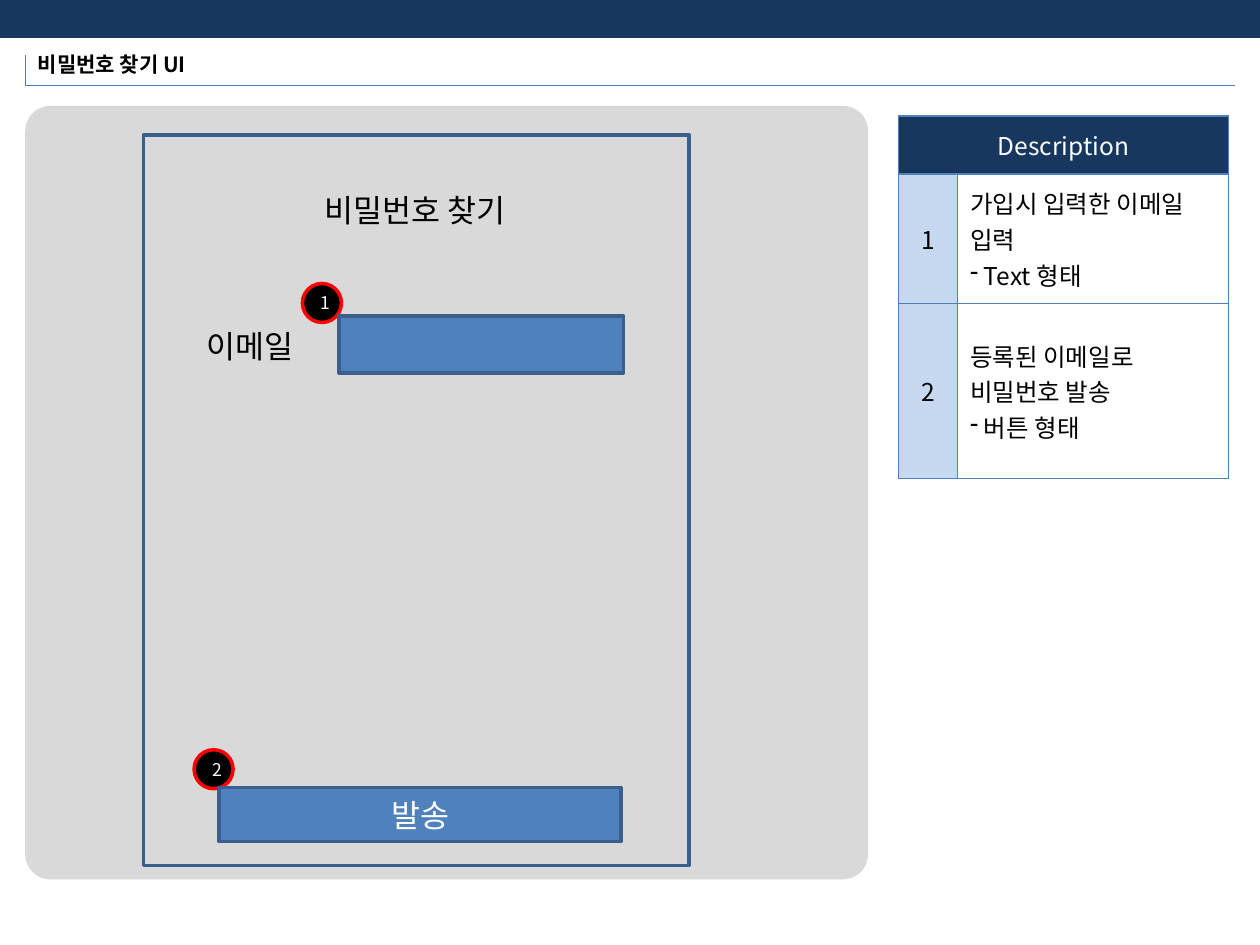
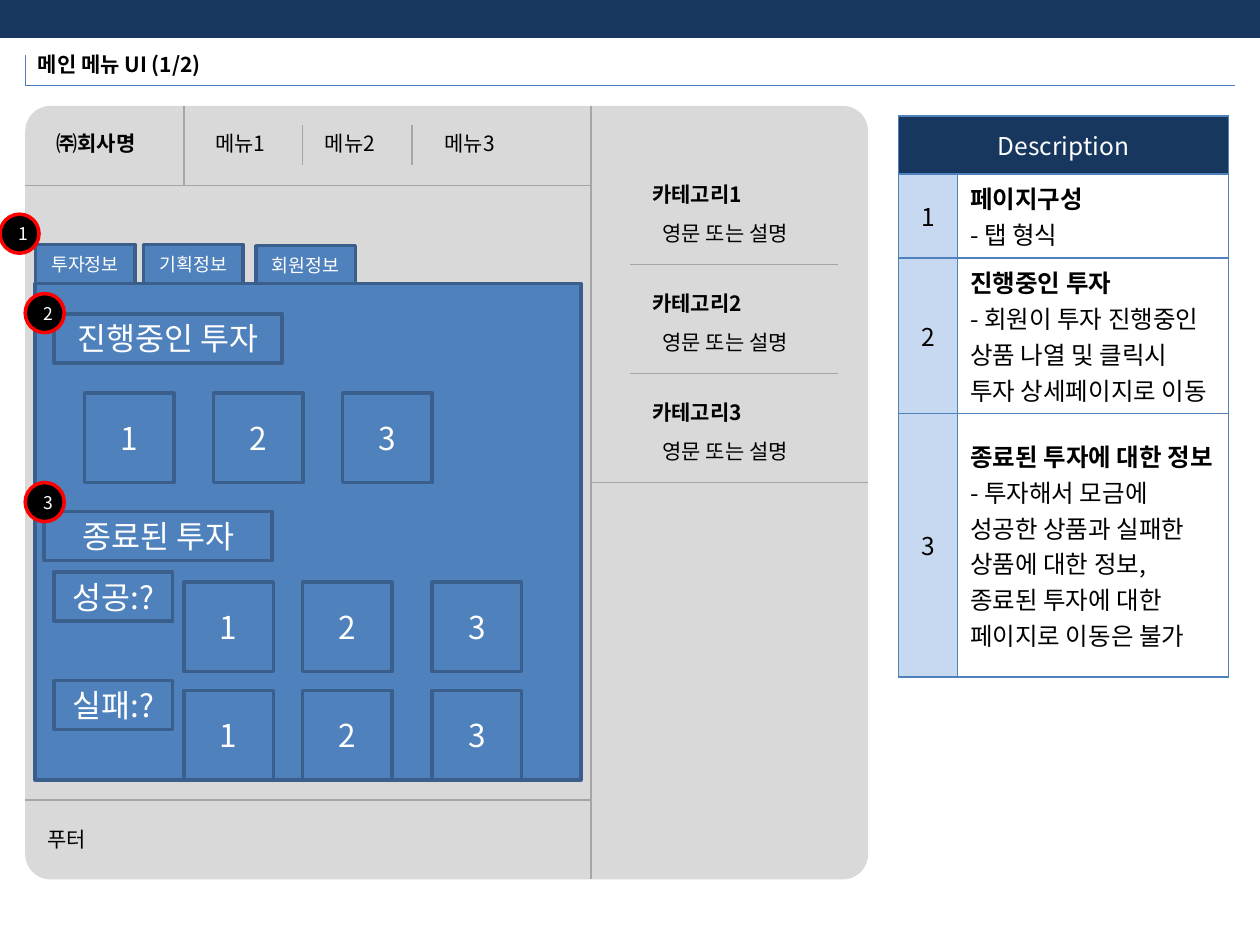
from dataclasses import dataclass
from itertools import product
from typing import NamedTuple

from lxml import etree
from pptx import Presentation
from pptx import util as u
from pptx.dml.color import RGBColor
from pptx.enum import shapes as s, text as t
from pptx.oxml import ns

FONT = "Noto Sans CJK KR"
NAVY, BLUE, EDGE, PALE = "17375E", "4F81BD", "3A5F8C", "C6D9F1"
RULE, GRAY, RAIL = "4B7EBC", "D9D9D9", "A6A6A6"
BLACK, WHITE, RED = "000000", "FFFFFF", "FF0000"
COLS, ROWS = 100, 75
CELL = u.Inches(10) // COLS
RECT, OVAL, ROUND = (s.MSO_SHAPE.RECTANGLE, s.MSO_SHAPE.OVAL,
                     s.MSO_SHAPE.ROUNDED_RECTANGLE)


class Area(NamedTuple):
    col: float
    row: float
    wide: float
    high: float


class Style(NamedTuple):
    size: float
    color: str = BLACK
    bold: bool = False


@dataclass
class Box:
    area: Area
    label: str = ""
    size: float = 18
    fill: str | None = BLUE
    edge: str | None = EDGE
    kind: s.MSO_SHAPE = RECT


@dataclass
class Label:
    area: Area
    words: str
    style: Style = Style(12)
    wrap: bool = False


class Line(NamedTuple):
    col: float
    row: float
    end_col: float
    end_row: float
    color: str = RAIL


class Text(NamedTuple):
    words: str
    bold: bool = False
    dash: bool = False


class Note(NamedTuple):
    high: float
    texts: list[Text]


def span(count: float) -> int:
    return round(count * CELL)


def place(area: Area) -> list[int]:
    return [span(n) for n in area]


def paint(target, color: str) -> None:
    target.solid()
    target.fore_color.rgb = RGBColor.from_string(color)


def add_run(para, words: str, style: Style) -> None:
    run = para.add_run()
    run.text = words
    font = run.font
    font.name, font.size, font.bold = FONT, u.Pt(style.size), style.bold
    paint(font.fill, style.color)
    etree.SubElement(run._r.rPr, ns.qn("a:ea"), typeface=FONT)


def draw_box(slide, box: Box):
    shape = slide.shapes.add_shape(box.kind, *place(box.area))
    shape.shadow.inherit = False
    if box.fill:
        paint(shape.fill, box.fill)
    else:
        shape.fill.background()
    if box.edge:
        paint(shape.line.fill, box.edge)
        shape.line.width = u.Pt(2)
    else:
        shape.line.fill.background()
    if box.label:
        para = shape.text_frame.paragraphs[0]
        para.alignment = t.PP_ALIGN.CENTER
        add_run(para, box.label, Style(box.size, WHITE))
    return shape


def draw_label(slide, label: Label) -> None:
    frame = slide.shapes.add_textbox(*place(label.area)).text_frame
    frame.word_wrap = label.wrap
    add_run(frame.paragraphs[0], label.words, label.style)


def draw_line(slide, line: Line) -> None:
    rule = slide.shapes.add_connector(
        s.MSO_CONNECTOR.STRAIGHT, *[span(n) for n in line[:4]])
    paint(rule.line.fill, line.color)
    rule.line.width = u.Pt(0.75)
    etree.SubElement(rule._element.spPr, ns.qn("a:effectLst"))


def draw_badge(slide, col: float, row: float, label: str) -> None:
    draw_box(slide, Box(Area(col, row, 3.1, 3.1), label, 10, BLACK, RED, OVAL))


def dress(cell, color: str) -> None:
    props = cell._tc.get_or_add_tcPr()
    for side in ("lnL", "lnR", "lnT", "lnB"):
        edge = etree.SubElement(props, ns.qn(f"a:{side}"), w=str(u.Pt(1)))
        fill = etree.SubElement(edge, ns.qn("a:solidFill"))
        etree.SubElement(fill, ns.qn("a:srgbClr"), val=BLUE)
    paint(cell.fill, color)
    cell.vertical_anchor = t.MSO_ANCHOR.MIDDLE


def add_dash(para) -> None:
    props = para._p.get_or_add_pPr()
    gap = u.Inches(0.11)
    props.set("marL", str(gap))
    props.set("indent", str(-gap))
    etree.SubElement(props, ns.qn("a:buChar"), char="-")


def fill_cell(cell, texts: list[Text], color: str = BLACK,
              mid: bool = False) -> None:
    frame = cell.text_frame
    for i, item in enumerate(texts):
        para = frame.add_paragraph() if i else frame.paragraphs[0]
        if mid:
            para.alignment = t.PP_ALIGN.CENTER
        if item.dash:
            add_dash(para)
        add_run(para, item.words, Style(14, color, item.bold))


def draw_notes(slide, notes: list[Note]) -> None:
    highs = [4.6] + [note.high for note in notes]
    area = Area(71.3, 9.2, 26.2, sum(highs))
    table = slide.shapes.add_table(len(highs), 2, *place(area)).table
    table.first_row = table.horz_banding = False
    for col, wide in zip(table.columns, (4.7, 21.5)):
        col.width = span(wide)
    for row, high in zip(table.rows, highs):
        row.height = span(high)
    for i, j in product(range(len(highs)), range(2)):
        dress(table.cell(i, j), (PALE, WHITE)[j] if i else NAVY)
    table.cell(0, 0).merge(table.cell(0, 1))
    fill_cell(table.cell(0, 0), [Text("Description")], WHITE, True)
    for i, note in enumerate(notes, 1):
        fill_cell(table.cell(i, 0), [Text(str(i))], mid=True)
        fill_cell(table.cell(i, 1), note.texts)


def start_slide(deck, title: str, wide: float, notes: list[Note]):
    slide = deck.slides.add_slide(deck.slide_layouts.get_by_name("Title Only"))
    draw_box(slide, Box(Area(0, 0, COLS, 2.9), fill=NAVY, edge=NAVY))
    draw_line(slide, Line(2, 4.4, 2, 6.8, RULE))
    draw_line(slide, Line(2, 6.8, 98, 6.8, RULE))
    head = slide.shapes.title
    head.left, head.top, head.width, head.height = place(
        Area(2, 3.6, wide, 3))
    frame = head.text_frame
    frame.auto_size = t.MSO_AUTO_SIZE.NONE
    frame.word_wrap = False
    frame.vertical_anchor = t.MSO_ANCHOR.TOP
    para = frame.paragraphs[0]
    para.alignment = t.PP_ALIGN.LEFT
    add_run(para, title, Style(12, bold=True))
    draw_notes(slide, notes)
    panel = draw_box(slide, Box(Area(2, 8.4, 66.9, 61.4), fill=GRAY,
                                edge=None, kind=ROUND))
    panel.adjustments[0] = 0.033
    return slide


def build_reset(deck) -> None:
    slide = start_slide(deck, "비밀번호 찾기 UI", 15.7, [
        Note(10.3, [Text("가입시 입력한 이메일 입력"),
                    Text("Text 형태", dash=True)]),
        Note(13.9, [Text("등록된 이메일로 비밀번호 발송"),
                    Text("버튼 형태", dash=True)]),
    ])
    draw_badge(slide, 24, 22.5, "1")
    draw_badge(slide, 15.4, 59.5, "2")
    for box in (Box(Area(11.4, 10.7, 43.3, 58), fill=None),
                Box(Area(26.9, 25.1, 22.6, 4.5)),
                Box(Area(17.4, 62.5, 31.9, 4.3), "발송")):
        draw_box(slide, box)
    draw_label(slide, Label(Area(24.8, 14.7, 18.1, 4), "비밀번호 찾기",
                            Style(18)))
    draw_label(slide, Label(Area(15.4, 25.5, 9.4, 4), "이메일", Style(18)))


def draw_frame(slide) -> None:
    for line in (Line(2, 14.7, 46.9, 14.7), Line(14.6, 14.7, 14.6, 8.4),
                 Line(24, 13.1, 24, 9.9), Line(32.7, 13.1, 32.7, 9.9),
                 Line(46.9, 8.4, 46.9, 69.8), Line(2, 63.5, 46.9, 63.5)):
        draw_line(slide, line)
    bold = Style(12, bold=True)
    draw_label(slide, Label(Area(3.5, 9.9, 8.8, 3), "㈜회사명", bold))
    draw_label(slide, Label(Area(2.8, 65.1, 5.4, 3), "푸터"))
    for i, col in enumerate((16.1, 24.8, 34.3), 1):
        draw_label(slide, Label(Area(col, 9.9, 6.3, 3), f"메뉴{i}", wrap=True))
    for i in range(3):
        row = 13.9 + 8.65 * i
        draw_label(slide, Label(Area(50.8, row, 9.7, 3),
                                f"카테고리{i + 1}", bold))
        draw_label(slide, Label(Area(51.6, row + 3.15, 13.3, 3),
                                "영문 또는 설명"))
        left, right = (46.9, 68.9) if i == 2 else (50, 66.5)
        draw_line(slide, Line(left, row + 7.1, right, row + 7.1))


def build_menu(deck) -> None:
    slide = start_slide(deck, "메인 메뉴 UI (1/2)", 16.2, [
        Note(6.65, [Text("페이지구성", True), Text("- 탭 형식")]),
        Note(12.35, [Text("진행중인 투자", True),
                     Text("- 회원이 투자 진행중인 상품 나열 및 클릭시 "
                          "투자 상세페이지로 이동")]),
        Note(20.9, [Text("종료된 투자에 대한 정보", True),
                    Text("- 투자해서 모금에 성공한 상품과 실패한 상품에 대한 정보, "
                         "종료된 투자에 대한 페이지로 이동은 불가")]),
    ])
    draw_frame(slide)
    for col, row, tab in ((2.8, 19.4, "투자정보"), (11.4, 19.4, "기획정보"),
                          (20.3, 19.5, "회원정보")):
        draw_box(slide, Box(Area(col, row, 7.9, 3.1), tab, 10.5))
    draw_box(slide, Box(Area(2.8, 22.5, 43.3, 39.4)))
    for col, row, wide, head in ((4.3, 24.9, 18.1, "진행중인 투자"),
                                 (3.5, 40.6, 18.1, "종료된 투자"),
                                 (4.3, 45.4, 9.4, "성공:?"),
                                 (4.3, 54, 9.4, "실패:?")):
        draw_box(slide, Box(Area(col, row, wide, 3.9), head))
    done = (14.6, 24, 34.3)
    for row, cols in ((31.2, (6.7, 16.95, 27.2)), (46.2, done), (54.8, done)):
        for i, col in enumerate(cols, 1):
            draw_box(slide, Box(Area(col, row, 7.1, 7.1), str(i)))
    for i, (col, row) in enumerate(((0, 17), (2, 23.3), (2, 38.3)), 1):
        draw_badge(slide, col, row, str(i))


def main() -> None:
    deck = Presentation()
    deck.slide_width, deck.slide_height = span(COLS), span(ROWS)
    build_reset(deck)
    build_menu(deck)
    deck.save("out.pptx")


if __name__ == "__main__":
    main()
